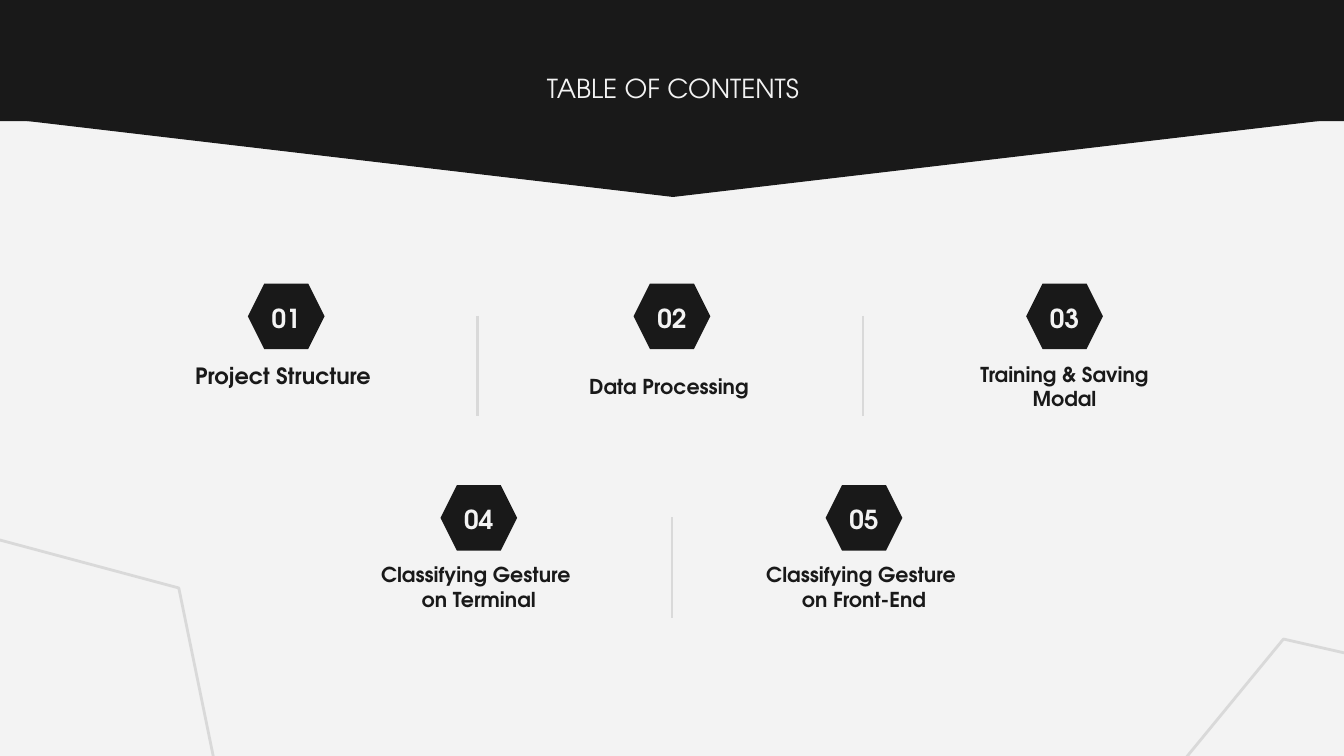
from lxml import etree
from pptx import Presentation
from pptx.dml.color import RGBColor
from pptx.enum import shapes, text
from pptx.oxml import ns
from pptx.util import Cm, Pt

COLOR = {"dark": "191919", "light": "F3F3F3", "rule": "D9D9D9"}
FONT = "TeX Gyre Adventor"
TOP, MIDDLE = text.MSO_ANCHOR.TOP, text.MSO_ANCHOR.MIDDLE
KIND = shapes.MSO_SHAPE

# Centre and top of each entry, number, label, label size, label drop, anchor
ITEMS = [
    (5.41, 5.36, "01", "Project Structure ", 12, 1.24, TOP),
    (12.7, 5.36, "02", "Data Processing ", 11, 1.14, MIDDLE),
    (20.12, 5.36, "03", "Training & Saving Modal", 11, 1.14, MIDDLE),
    (9.05, 9.17, "04", "Classifying Gesture \von Terminal", 11, 1.12, MIDDLE),
    (16.33, 9.17, "05", "Classifying Gesture \von Front-End", 11, 1.12, MIDDLE),
]
RULES = [(9.02, 5.97), (16.31, 5.97), (12.7, 9.78)]


def rgb(name):
    return RGBColor.from_string(COLOR[name])


def shape(slide, kind, box, fill=None, line=None, width=1.5, turn=0):
    item = slide.shapes.add_shape(kind, *map(Cm, box))
    item.shadow.inherit = False
    item.rotation = turn
    if fill:
        item.fill.solid()
        item.fill.fore_color.rgb = rgb(fill)
    else:
        item.fill.background()
    if line:
        item.line.color.rgb = rgb(line)
        item.line.width = Pt(width)
    else:
        item.line.fill.background()
    return item


def write(item, words, size, color, bold, anchor):
    frame = item.text_frame
    frame.word_wrap = True
    frame.auto_size = text.MSO_AUTO_SIZE.NONE
    frame.vertical_anchor = anchor
    frame.margin_left = frame.margin_right = Cm(0.25)
    frame.margin_top = frame.margin_bottom = Cm(0.25)
    frame.text = words
    para = frame.paragraphs[0]
    para.alignment = text.PP_ALIGN.CENTER
    font = para.font
    font.name, font.size, font.bold = FONT, Pt(size), bold
    font.color.rgb = rgb(color)


def label(slide, box, *style):
    write(slide.shapes.add_textbox(*map(Cm, box)), *style)


def banner(slide, left, top, width):
    """Draw the dark band with its downward point, and the title on it."""
    shape(slide, KIND.ISOSCELES_TRIANGLE, (left, top + 2.31, width, 1.5),
          "dark", "dark", 0.75, 180)
    shape(slide, KIND.RECTANGLE, (left, top, width, 2.39), "dark")
    title = slide.shapes.title
    wide = 8.28
    title.left, title.top = Cm(left + (width - wide) / 2), Cm(top + 1.22)
    title.width, title.height = Cm(wide), Cm(1.9)
    write(title, "TABLE OF CONTENTS", 14, "light", False, TOP)
    slide.shapes.element.append(title.element)  # bring to front


def entry(slide, mid, top, number, words, size, drop, anchor):
    """Draw a numbered hexagon and its label, centred on mid."""
    def box(wide, down, high):
        return mid - wide / 2, top + down, wide, high

    shape(slide, KIND.HEXAGON, box(1.45, 0, 1.24), "dark")
    label(slide, box(2.08, 0.23, 0.84), number, 14, "light", True, MIDDLE)
    label(slide, box(4.45, drop, 1.6), words, size, "dark", True, anchor)


def rule(slide, left, top, high=1.9):
    line = slide.shapes.add_connector(
        shapes.MSO_CONNECTOR.STRAIGHT,
        Cm(left), Cm(top), Cm(left), Cm(top + high))
    line.line.color.rgb = rgb("rule")
    line.line.width = Pt(1.5)
    etree.SubElement(line.element.spPr, ns.qn("a:effectLst"))


def corners(slide):
    for left, top, turn in [(-3.96, 10.36, 15), (21.06, 12.83, 309.4)]:
        shape(slide, KIND.HEXAGON, (left, top, 8.2, 6.43),
              line="rule", turn=turn)


def main():
    deck = Presentation()
    deck.slide_width, deck.slide_height = Cm(25.4), Cm(14.29)
    slide = deck.slides.add_slide(deck.slide_layouts[5])
    slide.background.fill.solid()
    slide.background.fill.fore_color.rgb = rgb("light")
    banner(slide, -0.03, -0.1, 25.5)
    for item in ITEMS:
        entry(slide, *item)
    for place in RULES:
        rule(slide, *place)
    corners(slide)
    deck.save("out.pptx")


if __name__ == "__main__":
    main()
